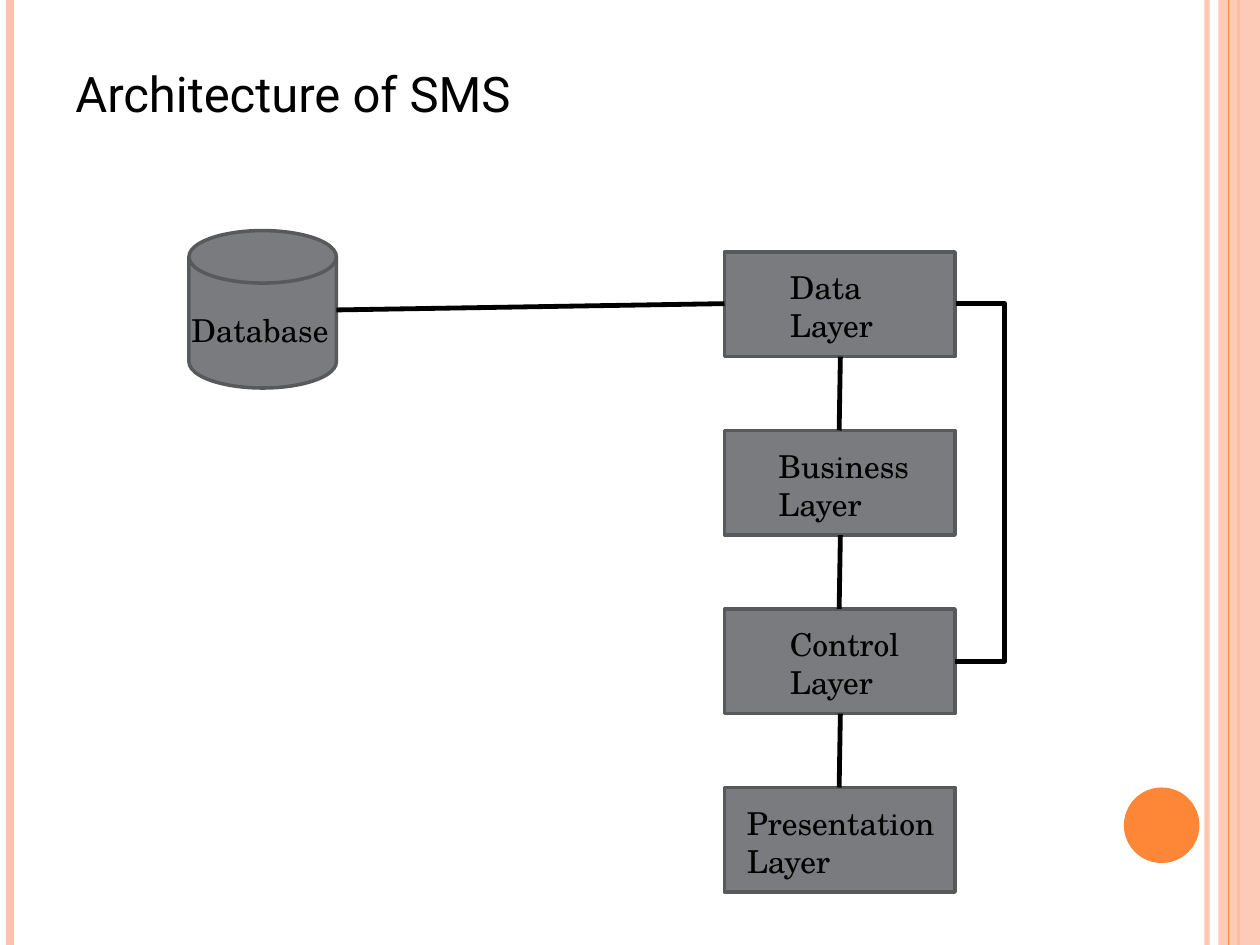
from dataclasses import dataclass

from lxml.etree import SubElement
from pptx import Presentation
from pptx.dml.color import RGBColor
from pptx.enum.shapes import MSO_CONNECTOR, MSO_SHAPE
from pptx.enum.text import MSO_ANCHOR, MSO_AUTO_SIZE
from pptx.oxml.ns import qn
from pptx.util import Inches, Pt


@dataclass(frozen=True)
class Theme:
    orange: str = "FE8637"
    peach: str = "FEC3AE"
    gray: str = "797B7E"
    edge: str = "57595B"
    black: str = "000000"
    title_font: str = "Roboto"
    body_font: str = "TeX Gyre Schola"
    title_size: float = 28
    body_size: float = 18
    edge_width: float = 2
    link_width: float = 2.75


@dataclass(frozen=True)
class Rule:
    x: float
    color: str
    width: float
    alpha: int = 100


@dataclass(frozen=True)
class Layer:
    text: str
    left: float
    width: float


T = Theme()
SLIDE_W, SLIDE_H = 10, 7.5
BOX_X, BOX_Y, BOX_W, BOX_H = 5.75, 2, 1.83, 0.83
PITCH = 17 / 12
MID_X = 6.67

LAYERS = [
    Layer("Data Layer", 6.17, 1),
    Layer("Business Layer", 6.08, 1.33),
    Layer("Control Layer", 6.17, 1.17),
    Layer("Presentation Layer", 5.83, 1.75),
]


def set_alpha(fill, percent: int) -> None:
    """Make a solid fill partly transparent."""
    if percent < 100:
        color = fill._xPr.find(qn("a:solidFill"))[0]
        SubElement(color, qn("a:alpha"), val=str(percent * 1000))


def add_shape(s, kind, x: float, y: float, w: float, h: float, color: str,
              edge: str = "", alpha: int = 100):
    sp = s.shapes.add_shape(kind, Inches(x), Inches(y), Inches(w), Inches(h))
    sp.shadow.inherit = False
    sp.fill.solid()
    sp.fill.fore_color.rgb = RGBColor.from_string(color)
    set_alpha(sp.fill, alpha)
    if edge:
        sp.line.color.rgb = RGBColor.from_string(edge)
        sp.line.width = Pt(T.edge_width)
    else:
        sp.line.fill.background()
    return sp


def add_line(s, x1: float, y1: float, x2: float, y2: float,
             color: str = T.black, width: float = T.link_width,
             alpha: int = 100, kind=MSO_CONNECTOR.STRAIGHT):
    cn = s.shapes.add_connector(kind, Inches(x1), Inches(y1), Inches(x2), Inches(y2))
    cn.line.color.rgb = RGBColor.from_string(color)
    cn.line.width = Pt(width)
    set_alpha(cn.line.fill, alpha)
    SubElement(cn._element.spPr, qn("a:effectLst"))
    return cn


def add_elbow(s, x1: float, y1: float, x2: float, y2: float, reach: float):
    """Draw an elbow whose middle leg stands `reach` inches from its start."""
    cn = add_line(s, x1, y1, x2, y2, kind=MSO_CONNECTOR.ELBOW)
    geom = cn._element.spPr.find(qn("a:prstGeom"))
    guides = geom.find(qn("a:avLst"))
    if guides is None:
        guides = SubElement(geom, qn("a:avLst"))
    ratio = round(reach / (x2 - x1) * 100000)
    SubElement(guides, qn("a:gd"), name="adj1", fmla=f"val {ratio}")
    return cn


def add_text(s, text: str, x: float, y: float, w: float, h: float, *,
             font: str = T.body_font, size: float = T.body_size,
             color: str = T.black, anchor=MSO_ANCHOR.TOP,
             auto_size=MSO_AUTO_SIZE.SHAPE_TO_FIT_TEXT):
    sp = s.shapes.add_textbox(Inches(x), Inches(y), Inches(w), Inches(h))
    tf = sp.text_frame
    tf.word_wrap = True
    tf.auto_size = auto_size
    tf.vertical_anchor = anchor
    r = tf.paragraphs[0].add_run()
    r.text = text
    r.font.name = font
    r.font.size = Pt(size)
    r.font.color.rgb = RGBColor.from_string(color)
    return sp


def add_rule(s, rule: Rule) -> None:
    add_line(s, rule.x, 0, rule.x, SLIDE_H, rule.color, rule.width, rule.alpha)


def draw_frame(s) -> None:
    for rule in (Rule(9.58, T.peach, 3, 93), Rule(0.08, T.peach, 4.5),
                 Rule(9.83, T.orange, 1.5)):
        add_rule(s, rule)
    add_shape(s, MSO_SHAPE.RECTANGLE, 9.67, 0, 0.33, SLIDE_H, T.peach, alpha=87)
    add_rule(s, Rule(9.75, T.orange, 0.75))
    add_shape(s, MSO_SHAPE.OVAL, 8.92, 6.25, 0.6, 0.6, T.orange)


def draw_diagram(s) -> None:
    tops = [BOX_Y + i * PITCH for i in range(len(LAYERS))]

    # Database and layer boxes
    add_shape(s, MSO_SHAPE.FLOWCHART_MAGNETIC_DISK, 1.5, 1.83, 1.17, 1.25,
              T.gray, T.edge)
    for top in tops:
        add_shape(s, MSO_SHAPE.FLOWCHART_PROCESS, BOX_X, top, BOX_W, BOX_H,
                  T.gray, T.edge)

    # Links
    add_line(s, 2.67, 2.46, BOX_X, 2.41)
    for top, below in zip(tops, tops[1:]):
        add_line(s, MID_X, top + BOX_H, MID_X - 0.01, below)
    right = BOX_X + BOX_W
    add_elbow(s, right, 5.25, right + 0.01, 2.41, reach=0.4)

    # Labels
    add_text(s, "Database", 1.42, 2.42, 1.33, 0.4)
    for layer, top in zip(LAYERS, tops):
        add_text(s, layer.text, layer.left, top + 0.08, layer.width, 0.7)


def main() -> None:
    prs = Presentation()
    prs.slide_width, prs.slide_height = Inches(SLIDE_W), Inches(SLIDE_H)
    s = prs.slides.add_slide(prs.slide_layouts[6])
    draw_frame(s)
    add_text(s, "Architecture of SMS", 0.5, 0.3, 8.17, 0.87, font=T.title_font,
             size=T.title_size, anchor=MSO_ANCHOR.MIDDLE,
             auto_size=MSO_AUTO_SIZE.NONE)
    draw_diagram(s)
    prs.save("out.pptx")


if __name__ == "__main__":
    main()
